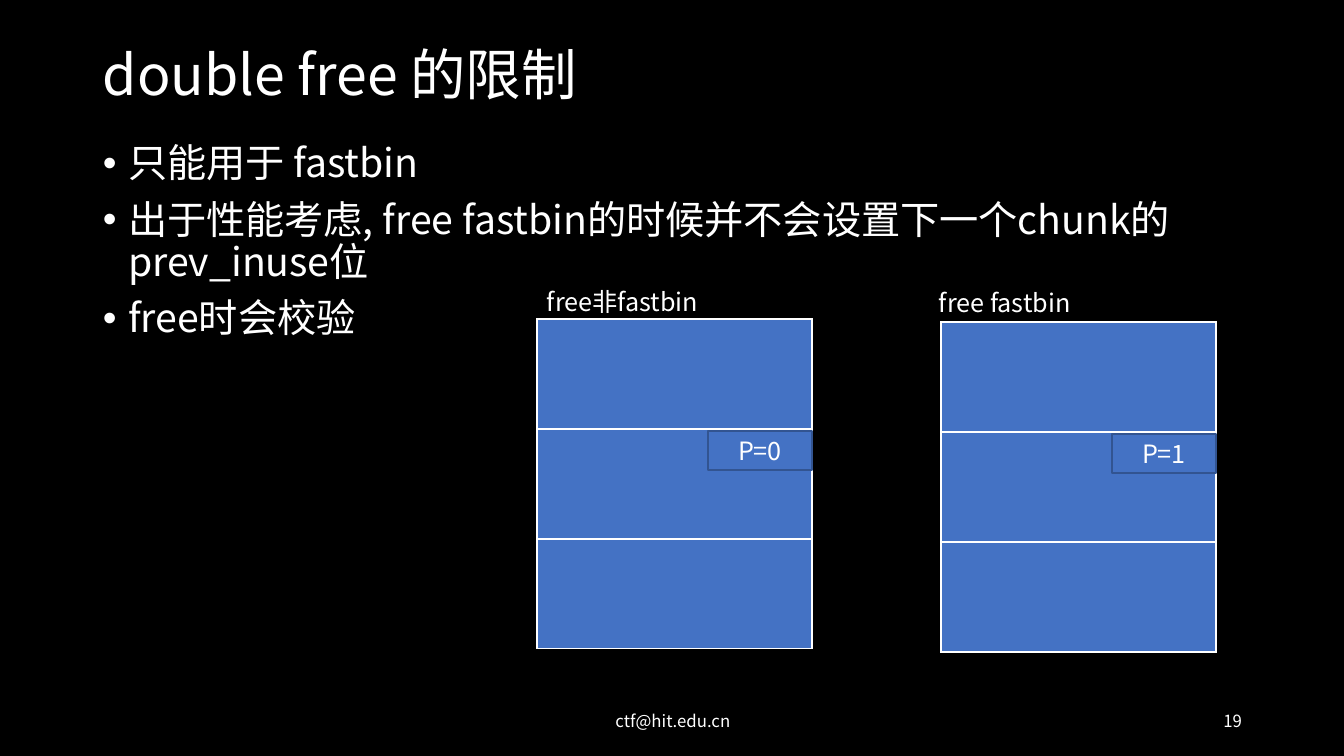
import pptx
import pptx.util
import pptx.dml.color
import pptx.enum.shapes
import pptx.enum.text
import pptx.oxml
import pptx.oxml.ns

ALIGN = pptx.enum.text.PP_ALIGN
ANCHOR = pptx.enum.text.MSO_ANCHOR
FONT = "Noto Sans CJK SC"
WHITE, BLACK, BLUE, NAVY = "FFFFFF", "000000", "4472C4", "325491"

# Content: lengths in px
TITLE = "double free 的限制"
POINTS = [
    "只能用于 fastbin",
    "出于性能考虑, free fastbin的时候并不会设置下一个chunk的prev_inuse位",
    "free时会校验",
]
MAIL, PAGE = "ctf@hit.edu.cn", "19"
# label, label left and top, flag, table left and top
HEAPS = [
    ("free非fastbin", 537, 281, "P=0", 537, 319),
    ("free fastbin", 929, 282, "P=1", 941, 322),
]
CHUNKS, WIDE, HIGH = 3, 275, 110
FLAG_W, FLAG_H, FLAG_DROP = 104, 39, 112


def px(*nums):
    return [round(n * 914400 / 100.8) for n in nums]


def color(text):
    return pptx.dml.color.RGBColor.from_string(text)


def paint(shape, text):
    shape.fill.solid()
    shape.fill.fore_color.rgb = color(text)


def xml(body):
    space = pptx.oxml.ns.nsdecls("a")
    return pptx.oxml.parse_xml(body.replace(">", f" {space}>", 1))


def write(frame, lines, size, align=ALIGN.LEFT, anchor=ANCHOR.TOP,
          lead=None, gap=0, bullet=False):
    frame.word_wrap = True
    frame.vertical_anchor = anchor
    for i, line in enumerate(lines):
        para = frame.paragraphs[0] if i == 0 else frame.add_paragraph()
        para.text = line
        para.alignment = align
        if lead:
            para.line_spacing = lead
        if i and gap:
            para.space_before = pptx.util.Pt(gap)
        props = para._p.get_or_add_pPr()
        if bullet:
            hang = pptx.util.Inches(0.25)
            props.set("marL", str(hang))
            props.set("indent", str(-hang))
            props.append(xml('<a:buFont typeface="Arial"></a:buFont>'))
            props.append(xml('<a:buChar char="•"></a:buChar>'))
        font = para.font
        font.size = pptx.util.Pt(size)
        font.name = FONT
        font.color.rgb = color(WHITE)
        base = props.find(pptx.oxml.ns.qn("a:defRPr"))
        base.append(xml(f'<a:ea typeface="{FONT}"></a:ea>'))


def label(box, lines, size, **look):
    write(slide.shapes.add_textbox(*px(*box)).text_frame, lines, size, **look)


def stack(left, top):
    table = slide.shapes.add_table(
        CHUNKS, 1, *px(left, top, WIDE, HIGH * CHUNKS)).table
    table.first_row = table.horz_banding = False
    for row in table.rows:
        row.height = px(HIGH)[0]
        cell = row.cells[0]
        props = cell._tc.get_or_add_tcPr()
        for side in ("lnL", "lnR", "lnT", "lnB"):
            props.append(xml(
                f'<a:{side} w="12700"><a:solidFill><a:srgbClr val="{WHITE}"/>'
                f'</a:solidFill></a:{side}>'))
        paint(cell, BLUE)


def flag(left, top, text):
    rect = pptx.enum.shapes.MSO_SHAPE.RECTANGLE
    box = slide.shapes.add_shape(rect, *px(left, top, FLAG_W, FLAG_H))
    box.shadow.inherit = False
    paint(box, BLUE)
    box.line.color.rgb = color(NAVY)
    box.line.width = pptx.util.Pt(1)
    write(box.text_frame, [text], 18, ALIGN.CENTER, ANCHOR.MIDDLE)


deck = pptx.Presentation()
deck.slide_width, deck.slide_height = px(1344, 756)
slide = deck.slides.add_slide(deck.slide_layouts[6])
paint(slide.background, BLACK)

# Title and bullet points
label((93, 40, 1159, 76), [TITLE], 39.6, anchor=ANCHOR.MIDDLE, lead=0.9)
label((93, 139, 1159, 541), POINTS, 28, lead=0.9, gap=10, bullet=True)

# Footer
label((446, 701, 454, 40), [MAIL], 12,
      align=ALIGN.CENTER, anchor=ANCHOR.MIDDLE)
label((950, 701, 302, 40), [PAGE], 12,
      align=ALIGN.RIGHT, anchor=ANCHOR.MIDDLE)

# Heap stacks, each with its flag at the right of the second chunk
for name, x, y, bit, left, top in HEAPS:
    stack(left, top)
    flag(left + WIDE - FLAG_W, top + FLAG_DROP, bit)
    label((x, y, 187, 40), [name], 18)

deck.save("out.pptx")
